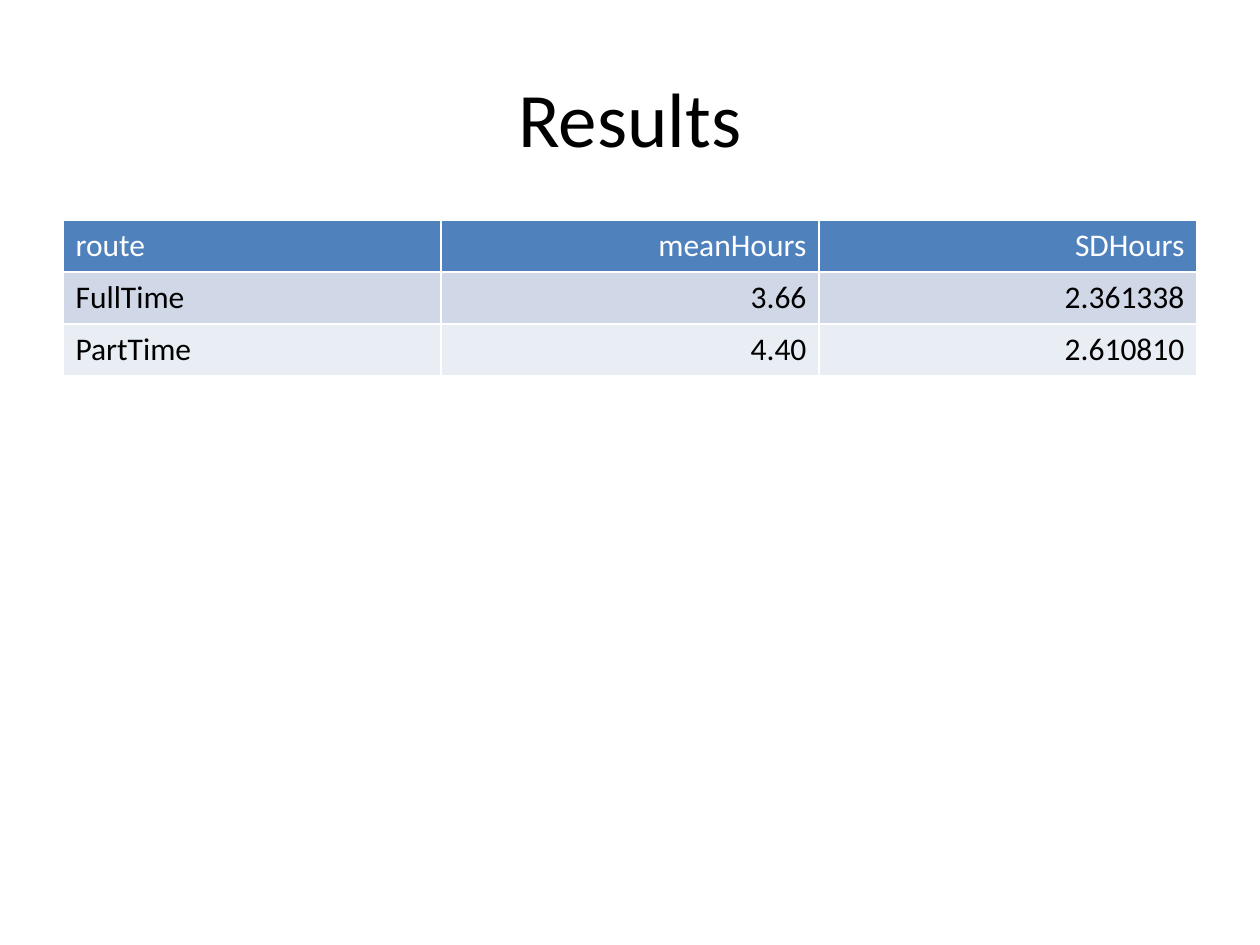
from dataclasses import dataclass

from lxml.etree import SubElement
from pptx import Presentation
from pptx.dml.color import RGBColor
from pptx.enum.text import MSO_ANCHOR, PP_ALIGN
from pptx.oxml.ns import qn
from pptx.util import Inches, Pt

WHITE = "FFFFFF"
BLACK = "000000"
COLUMN_WIDTH = 3
ROW_HEIGHT = 0.41


@dataclass
class TableRow:
    values: tuple[str, ...]
    fill: str
    color: str = BLACK


ROWS = [
    TableRow(("route", "meanHours", "SDHours"), "4F81BD", WHITE),
    TableRow(("FullTime", "3.66", "2.361338"), "D0D8E8"),
    TableRow(("PartTime", "4.40", "2.610810"), "E9EDF4"),
]
ALIGNMENTS = (PP_ALIGN.LEFT, PP_ALIGN.RIGHT, PP_ALIGN.RIGHT)


def rgb(color: str) -> RGBColor:
    return RGBColor.from_string(color)


def write_text(frame, text: str, size: float, color: str, alignment) -> None:
    para = frame.paragraphs[0]
    para.alignment = alignment
    span = para.add_run()
    span.text = text
    text_format = {"name": "Calibri", "size": Pt(size), "bold": False}
    for name, value in text_format.items():
        setattr(span.font, name, value)
    span.font.color.rgb = rgb(color)


def add_borders(cell, color: str, width: float) -> None:
    properties = cell._tc.get_or_add_tcPr()
    for side in ("lnL", "lnR", "lnT", "lnB"):
        line = SubElement(properties, qn(f"a:{side}"), w=str(Pt(width)))
        fill = SubElement(line, qn("a:solidFill"))
        SubElement(fill, qn("a:srgbClr"), val=color)


def add_title(page, text: str) -> None:
    box = page.shapes.add_textbox(Inches(0.5), Inches(0.3), Inches(9), Inches(1.25))
    frame_format = {"word_wrap": True, "vertical_anchor": MSO_ANCHOR.MIDDLE}
    for name, value in frame_format.items():
        setattr(box.text_frame, name, value)
    write_text(box.text_frame, text, 44, BLACK, PP_ALIGN.CENTER)


def add_results_table(page, rows: list[TableRow]) -> None:
    column_count = len(ALIGNMENTS)
    table = page.shapes.add_table(
        len(rows), column_count, Inches(0.5), Inches(1.75),
        Inches(COLUMN_WIDTH * column_count), Inches(ROW_HEIGHT * len(rows)),
    ).table
    for row_index, row in enumerate(rows):
        for column_index, (text, alignment) in enumerate(zip(row.values, ALIGNMENTS)):
            cell = table.cell(row_index, column_index)
            add_borders(cell, WHITE, 1)
            cell.fill.solid()
            cell.fill.fore_color.rgb = rgb(row.fill)
            write_text(cell.text_frame, text, 18, row.color, alignment)


def main() -> None:
    deck = Presentation()
    deck.slide_width, deck.slide_height = Inches(10), Inches(7.5)
    page = deck.slides.add_slide(deck.slide_layouts[6])

    # Heading
    add_title(page, "Results")

    # Hours by route
    add_results_table(page, ROWS)

    deck.save("out.pptx")


if __name__ == "__main__":
    main()
